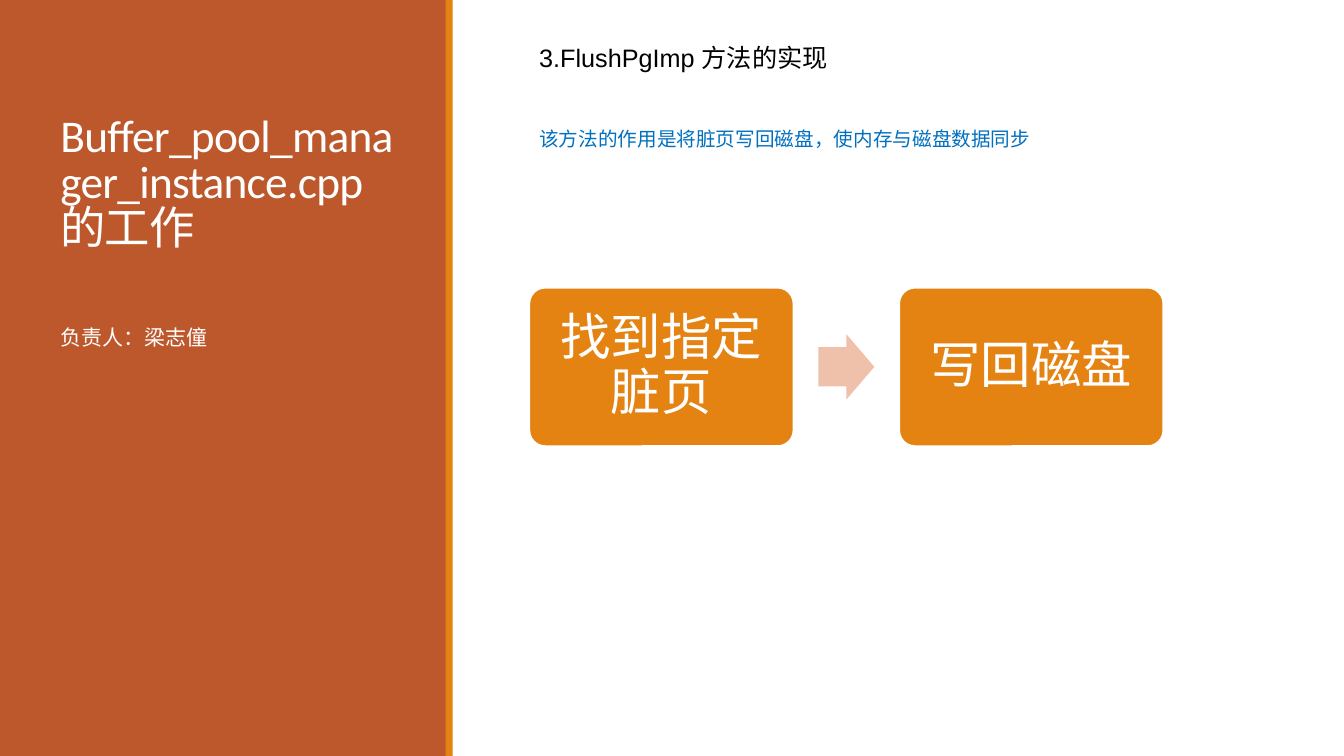
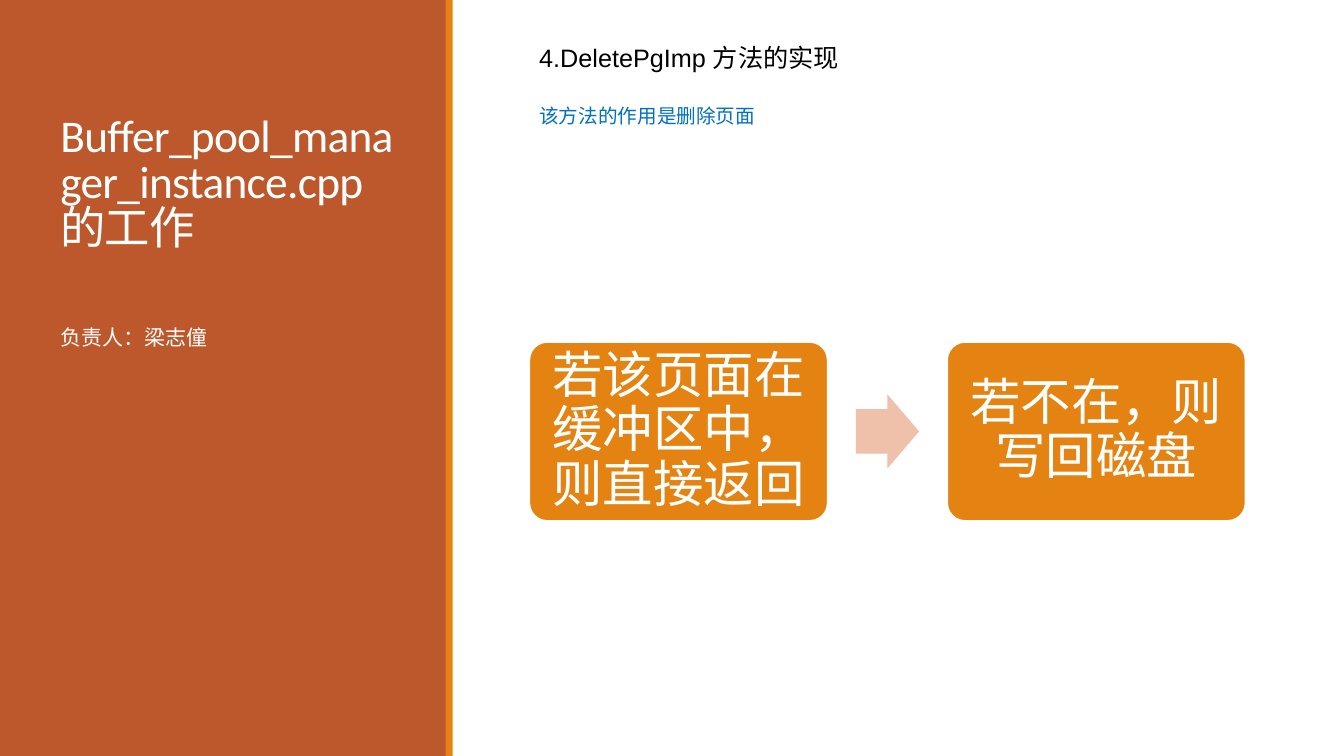
from pptx import Presentation
from pptx.dml.color import RGBColor
from pptx.enum.shapes import MSO_SHAPE as Preset
from pptx.enum.text import MSO_ANCHOR as Anchor, PP_ALIGN as Align
from pptx.util import Inches, Pt

RUST, ORANGE, PEACH = "BD582C", "E48312", "EFC1AB"
WHITE, BLACK, BLUE = "FFFFFF", "000000", "0070C0"

TITLE = "Buffer_pool_manager_instance.cpp的工作"
OWNER = "负责人：梁志僮"
BANDS = [(0, 4.43, RUST), (4.42, 0.07, ORANGE)]
CONTENT_LEFT = 5.25

METHODS = [
    {
        "heading": "3.FlushPgImp 方法的实现",
        "purpose": "该方法的作用是将脏页写回磁盘，使内存与磁盘数据同步",
        "purpose_top": 1.21,
        "steps": ["找到指定脏页", "写回磁盘"],
        "step_width": 2.62,
        "flow_middle": 3.64,
        "margin": 0.1,
    },
    {
        "heading": "4.DeletePgImp 方法的实现",
        "purpose": "该方法的作用是删除页面",
        "purpose_top": 0.98,
        "steps": ["若该页面在缓冲区中，则直接返回", "若不在，则写回磁盘"],
        "step_width": 2.96,
        "flow_middle": 4.28,
        "margin": 0.07,
    },
]


def rgb(value):
    return RGBColor.from_string(value)


def write(holder, text, size, color, font="Calibri", anchor=Anchor.TOP,
          spacing=None, margin=None, **paragraph_format):
    frame = holder.text_frame
    frame.word_wrap = True
    frame.vertical_anchor = anchor
    if margin is not None:
        for side in ("left", "right", "top", "bottom"):
            setattr(frame, f"margin_{side}", Inches(margin))
    paragraph = frame.paragraphs[0]
    for name, value in paragraph_format.items():
        setattr(paragraph, name, value)
    run = paragraph.add_run()
    run.text = text
    for name, value in {"size": Pt(size), "name": font}.items():
        setattr(run.font, name, value)
    run.font.color.rgb = rgb(color)
    if spacing is not None:
        run._r.get_or_add_rPr().set("spc", str(round(spacing * 100)))


def add_text(slide, box, text, size, color, **style):
    holder = slide.shapes.add_textbox(*map(Inches, box))
    write(holder, text, size, color, **style)


def add_block(slide, preset, box, fill, outline=None):
    block = slide.shapes.add_shape(preset, *map(Inches, box))
    block.shadow.inherit = False
    block.fill.solid()
    block.fill.fore_color.rgb = rgb(fill)
    if outline:
        block.line.color.rgb = rgb(outline)
        block.line.width = Pt(1.25)
    else:
        block.line.fill.background()
    return block


def add_sidebar(slide):
    for left, width, color in BANDS:
        add_block(slide, Preset.RECTANGLE, (left, 0, width, 7.5), color)
    add_text(slide, (0.5, 0.65, 3.5, 1.92), TITLE, 32.4, WHITE,
             anchor=Anchor.BOTTOM, spacing=-0.5, line_spacing=0.85)
    add_text(slide, (0.5, 3.2, 3.5, 3.7), OWNER, 15, WHITE,
             line_spacing=0.9, space_after=Pt(2))


def add_flow(slide, steps, width, middle, margin):
    height, gap = 0.6 * width, 0.4 * width
    arrow_width, arrow_height = 0.212 * width, 0.248 * width
    for index, step in enumerate(steps):
        left = CONTENT_LEFT + index * (width + gap)
        card = add_block(slide, Preset.ROUNDED_RECTANGLE,
                         (left, middle - height / 2, width, height), ORANGE, WHITE)
        card.adjustments[0] = 0.1
        write(card, step, 36, WHITE, anchor=Anchor.MIDDLE, margin=margin,
              alignment=Align.CENTER, line_spacing=0.9)
        if index:
            arrow_left = left - (gap + arrow_width) / 2
            arrow = add_block(slide, Preset.RIGHT_ARROW,
                              (arrow_left, middle - arrow_height / 2,
                               arrow_width, arrow_height), PEACH)
            arrow.adjustments[0] = 0.6


def main():
    """Build one slide per buffer pool method."""
    deck = Presentation()
    deck.slide_width, deck.slide_height = Inches(13.33), Inches(7.5)
    for method in METHODS:
        slide = deck.slides.add_slide(deck.slide_layouts[6])
        add_sidebar(slide)
        add_flow(slide, method["steps"], method["step_width"],
                 method["flow_middle"], method["margin"])
        add_text(slide, (CONTENT_LEFT, 0.37, 6.74, 0.4),
                 method["heading"], 18, BLACK, font="Arial")
        add_text(slide, (CONTENT_LEFT, method["purpose_top"], 6.74, 0.34),
                 method["purpose"], 14, BLUE)
    deck.save("out.pptx")


if __name__ == "__main__":
    main()
